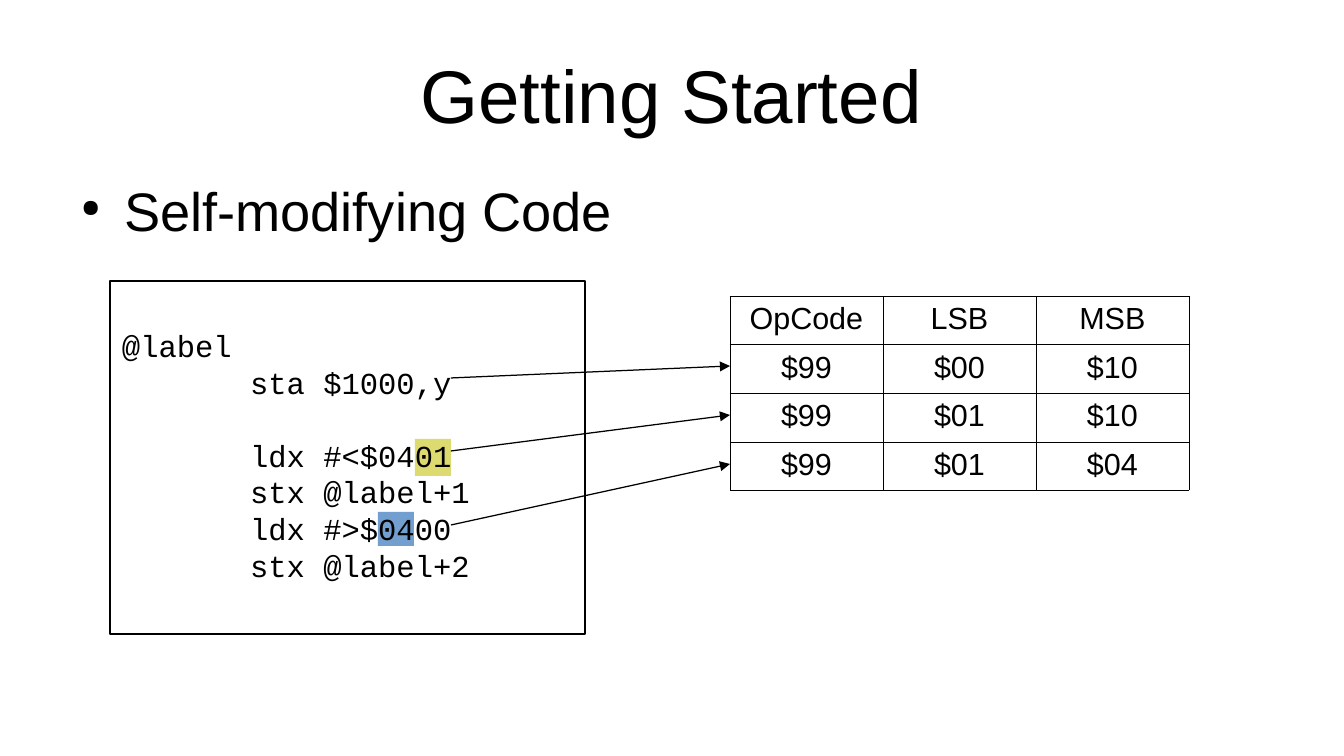
"""Builds the slide on self-modifying code, with its listing and byte table."""
from dataclasses import dataclass

from lxml.etree import SubElement
from pptx import Presentation
from pptx.dml.color import RGBColor
from pptx.enum.shapes import MSO_CONNECTOR, MSO_SHAPE
from pptx.enum.text import MSO_ANCHOR, PP_ALIGN
from pptx.oxml.ns import qn
from pptx.util import Emu, Pt

PX = 914400 / 122


def px(length):
    return Emu(round(length * PX))


@dataclass(frozen=True)
class Theme:
    ink: str = "000000"
    paper: str = "FFFFFF"
    low_byte: str = "DDDA6F"
    high_byte: str = "729FCF"
    font: str = "Arial"
    code_font: str = "Courier New"
    title: int = 44
    bullet: int = 32
    body: int = 18
    code_line: float = 21.6
    line: float = 0.75
    hairline: float = 0.06


class SlideBuilder:
    def __init__(self, slide, theme):
        self.shapes = slide.shapes
        self.theme = theme

    def add_text(self, paragraph, text, size, font=None):
        run = paragraph.add_run()
        run.text = text
        run.font.size = Pt(size)
        run.font.name = font or self.theme.font
        run.font.color.rgb = RGBColor.from_string(self.theme.ink)

    def inset(self, frame, left, top, right, bottom):
        frame.margin_left, frame.margin_top = px(left), px(top)
        frame.margin_right, frame.margin_bottom = px(right), px(bottom)

    def text_box(self, box, anchor):
        frame = self.shapes.add_textbox(*map(px, box)).text_frame
        frame.word_wrap = True
        frame.vertical_anchor = anchor
        self.inset(frame, 0, 0, 0, 0)
        return frame.paragraphs[0]

    def title(self, text, box):
        heading = self.text_box(box, MSO_ANCHOR.MIDDLE)
        heading.alignment = PP_ALIGN.CENTER
        self.add_text(heading, text, self.theme.title)

    def bullet(self, text, box):
        topic = self.text_box(box, MSO_ANCHOR.TOP)
        properties = topic._p.get_or_add_pPr()
        properties.set("marL", str(px(57)))
        properties.set("indent", str(px(-43)))
        SubElement(properties, qn("a:buSzPct"), val="45000")
        SubElement(properties, qn("a:buChar"), char="●")
        self.add_text(topic, text, self.theme.bullet)

    def rectangle(self, box, fill=None):
        panel = self.shapes.add_shape(MSO_SHAPE.RECTANGLE, *map(px, box))
        panel.shadow.inherit = False
        if fill:
            panel.fill.solid()
            panel.fill.fore_color.rgb = RGBColor.from_string(fill)
            panel.line.fill.background()
        else:
            panel.fill.background()
            panel.line.color.rgb = RGBColor.from_string(self.theme.ink)
            panel.line.width = Pt(self.theme.line)
        return panel

    def code(self, blocks, box):
        frame = self.rectangle(box).text_frame
        frame.word_wrap = True
        frame.vertical_anchor = MSO_ANCHOR.TOP
        self.inset(frame, 12, 46, 12, 6)
        for block_index, block in enumerate(blocks):
            for line_index, code_line in enumerate(block):
                first = block_index == line_index == 0
                row = frame.paragraphs[0] if first else frame.add_paragraph()
                row.alignment = PP_ALIGN.LEFT
                row.line_spacing = Pt(self.theme.code_line)
                if block_index and not line_index:
                    row.space_before = Pt(self.theme.code_line)
                self.add_text(row, code_line, self.theme.body, self.theme.code_font)

    def border(self, cell):
        properties = cell._tc.get_or_add_tcPr()
        for side in ("lnL", "lnR", "lnT", "lnB"):
            edge = SubElement(properties, qn(f"a:{side}"), w=str(Pt(self.theme.hairline)))
            fill = SubElement(edge, qn("a:solidFill"))
            SubElement(fill, qn("a:srgbClr"), val=self.theme.ink)

    def table(self, rows, left, top, column_width, row_height):
        size = len(rows), len(rows[0])
        extent = column_width * size[1], row_height * size[0]
        grid = self.shapes.add_table(*size, *map(px, (left, top, *extent))).table
        grid.first_row = grid.horz_banding = False
        for column in grid.columns:
            column.width = px(column_width)
        for row, values in zip(grid.rows, rows):
            row.height = px(row_height)
            for cell, value in zip(row.cells, values):
                self.border(cell)
                cell.fill.solid()
                cell.fill.fore_color.rgb = RGBColor.from_string(self.theme.paper)
                self.inset(cell, 12, 6, 12, 6)
                entry = cell.text_frame.paragraphs[0]
                entry.alignment = PP_ALIGN.CENTER
                self.add_text(entry, value, self.theme.body)

    def arrow(self, start, end):
        link = self.shapes.add_connector(MSO_CONNECTOR.STRAIGHT, *map(px, start + end))
        link.line.color.rgb = RGBColor.from_string(self.theme.ink)
        link.line.width = Pt(self.theme.line)
        outline = link._element.spPr.find(qn("a:ln"))
        SubElement(outline, qn("a:tailEnd"), type="triangle")
        SubElement(link._element.spPr, qn("a:effectLst"))


def main():
    deck = Presentation()
    deck.slide_width, deck.slide_height = px(1344), px(756)
    theme = Theme()
    page = SlideBuilder(deck.slides.add_slide(deck.slide_layouts[6]), theme)

    page.title("Getting Started", (67, 31, 1209, 126))
    page.rectangle((415, 439, 36, 37), theme.low_byte)
    page.rectangle((378, 512, 36, 34), theme.high_byte)
    page.code(
        [
            ["@label", "       sta $1000,y"],
            [
                "       ldx #<$0401",
                "       stx @label+1",
                "       ldx #>$0400",
                "       stx @label+2",
            ],
        ],
        (110, 281, 475, 353),
    )
    page.table(
        [
            ["OpCode", "LSB", "MSB"],
            ["$99", "$00", "$10"],
            ["$99", "$01", "$10"],
            ["$99", "$01", "$04"],
        ],
        730, 296, 153, 46,
    )
    page.bullet("Self-modifying Code", (67, 177, 1209, 438))
    for code_y, row_y in ((378, 366), (451, 415), (525, 464)):
        page.arrow((451, code_y), (730, row_y))

    deck.save("out.pptx")


if __name__ == "__main__":
    main()
